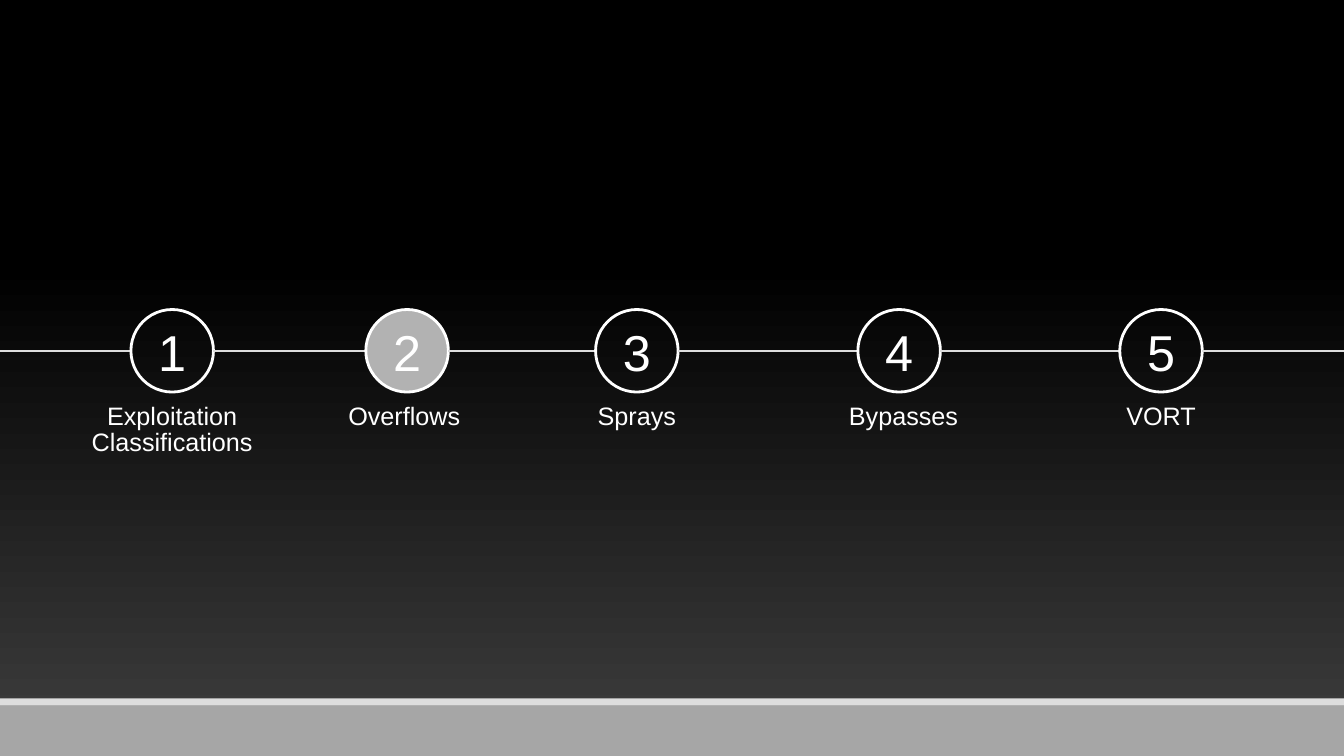
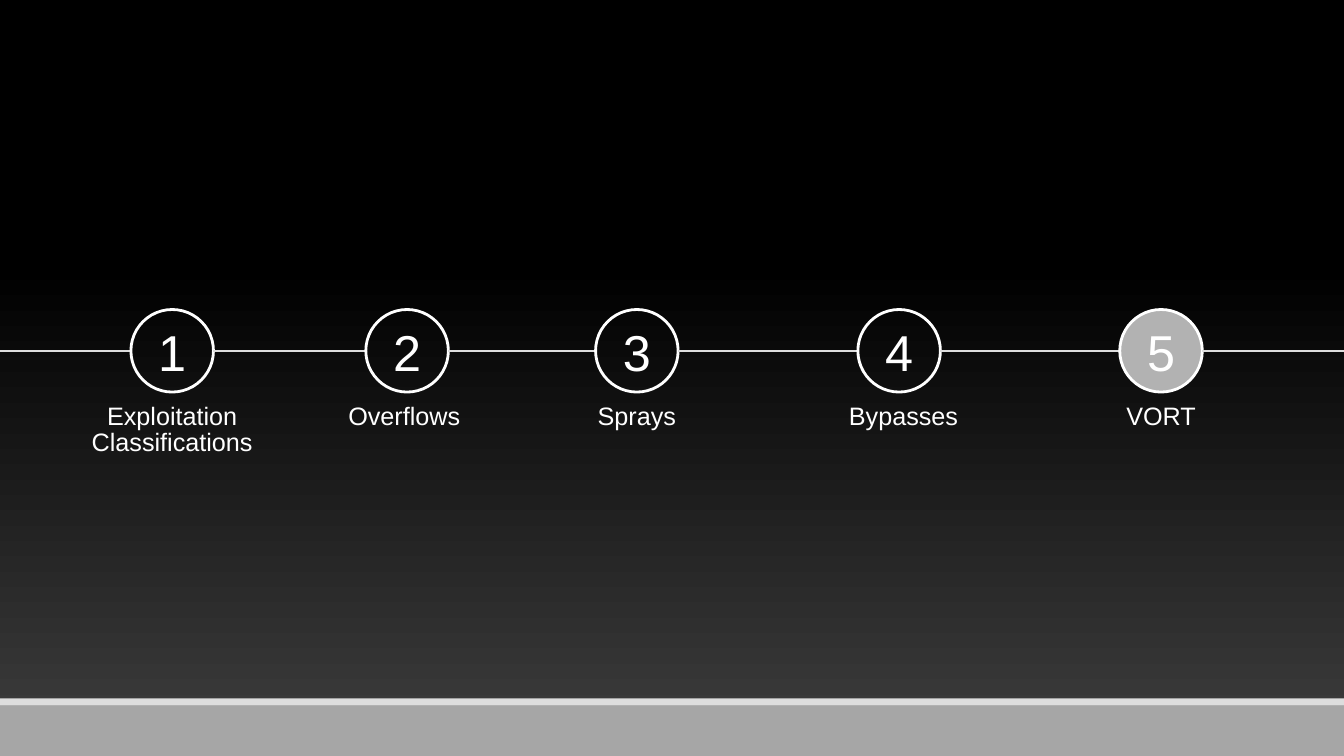
from lxml.etree import SubElement as Sub
from pptx import Presentation
from pptx.dml.color import RGBColor as Rgb
from pptx.enum.shapes import MSO_CONNECTOR as Link, MSO_SHAPE as Form
from pptx.enum.text import MSO_ANCHOR as Anchor, PP_ALIGN as Align
from pptx.oxml.ns import qn
from pptx.util import Cm, Pt

HUES = {
    "text": "FFFFFF",
    "rule": "DDDDDD",
    "band": "A6A6A6",
    "mark": "B2B2B2",
    "glow": "3F3F3F",
    "back": "000000",
}
WIDE, HIGH = 33.87, 19.05
RING = 2.08
TRACK = (0, 7.8, WIDE, 3.42)
STEPS = [
    ("Exploitation Classifications", 4.34, 0),
    ("Overflows", 10.26, -0.07),
    ("Sprays", 16.05, 0),
    ("Bypasses", 22.66, 0.11),
    ("VORT", 29.26, 0),
]


def hue(name):
    return Rgb.from_string(HUES[name])


def write(shape, text, size=18, color="text", anchor=Anchor.TOP,
          inset=0.13, side=0.25, space=1.0, wrap=True):
    frame = shape.text_frame
    frame.word_wrap = wrap
    frame.vertical_anchor = anchor
    frame.margin_left = frame.margin_right = Cm(side)
    frame.margin_top, frame.margin_bottom = Cm(inset), Cm(0)
    para = frame.paragraphs[0]
    para.alignment = Align.CENTER
    para.line_spacing = space
    run = para.add_run()
    run.text = text
    run.font.name = "Arial"
    run.font.size = Pt(size)
    run.font.color.rgb = hue(color)


def draw(slide, form, box, fill=None, line=None):
    shape = slide.shapes.add_shape(form, *map(Cm, box))
    shape.shadow.inherit = False
    if fill:
        shape.fill.solid()
        shape.fill.fore_color.rgb = hue(fill)
    else:
        shape.fill.background()
    if line:
        shape.line.color.rgb = hue(line)
        shape.line.width = Pt(2)
    else:
        shape.line.fill.background()
    return shape


def join(slide, start, end, level):
    line = slide.shapes.add_connector(
        Link.STRAIGHT, Cm(start), Cm(level), Cm(end), Cm(level))
    line.line.color.rgb = hue("rule")
    line.line.width = Pt(1)
    Sub(line.element.spPr, qn("a:effectLst"))


def style(deck, slide):
    master = deck.slide_master
    fill = master.background.fill
    fill.gradient()
    fill.gradient_angle = 90
    for stop, (place, name) in zip(fill.gradient_stops,
                                   [(0, "glow"), (0.65, "back")]):
        stop.position = place
        stop.color.rgb = hue(name)
    for name, top, tall in [("band", 17.78, 1.27), ("rule", 17.6, 0.18)]:
        band = draw(slide, Form.RECTANGLE, (0, top, WIDE, tall), fill=name)
        master.shapes.element.append(band.element)


def step(slide, box, number, label, shift, live):
    left, top, wide, tall = box
    ring = draw(slide, Form.OVAL, (left, top, RING, RING),
                fill="mark" if live else None, line="text")
    write(ring, str(number), size=36, anchor=Anchor.MIDDLE,
          inset=0.05, side=0, wrap=False)
    span = 4.6
    mid = left + wide / 2 + shift
    note = slide.shapes.add_textbox(
        Cm(mid - span / 2), Cm(top + 2.28), Cm(span), Cm(tall - 2.28))
    write(note, label, space=0.85)


def track(slide, box, live):
    left, top, wide, tall = box
    start = left
    for number, (label, mid, shift) in enumerate(STEPS, 1):
        edge = left + mid - RING / 2
        join(slide, start, edge, top + RING / 2)
        step(slide, (edge, top, RING, tall), number, label, shift,
             number == live)
        start = edge + RING
    join(slide, start, left + wide, top + RING / 2)


def main():
    deck = Presentation()
    deck.slide_width, deck.slide_height = Cm(WIDE), Cm(HIGH)
    blank = deck.slide_layouts[6]
    for live in (2, 5):
        slide = deck.slides.add_slide(blank)
        if len(deck.slides) == 1:
            style(deck, slide)
        track(slide, TRACK, live)
    deck.save("out.pptx")


if __name__ == "__main__":
    main()
